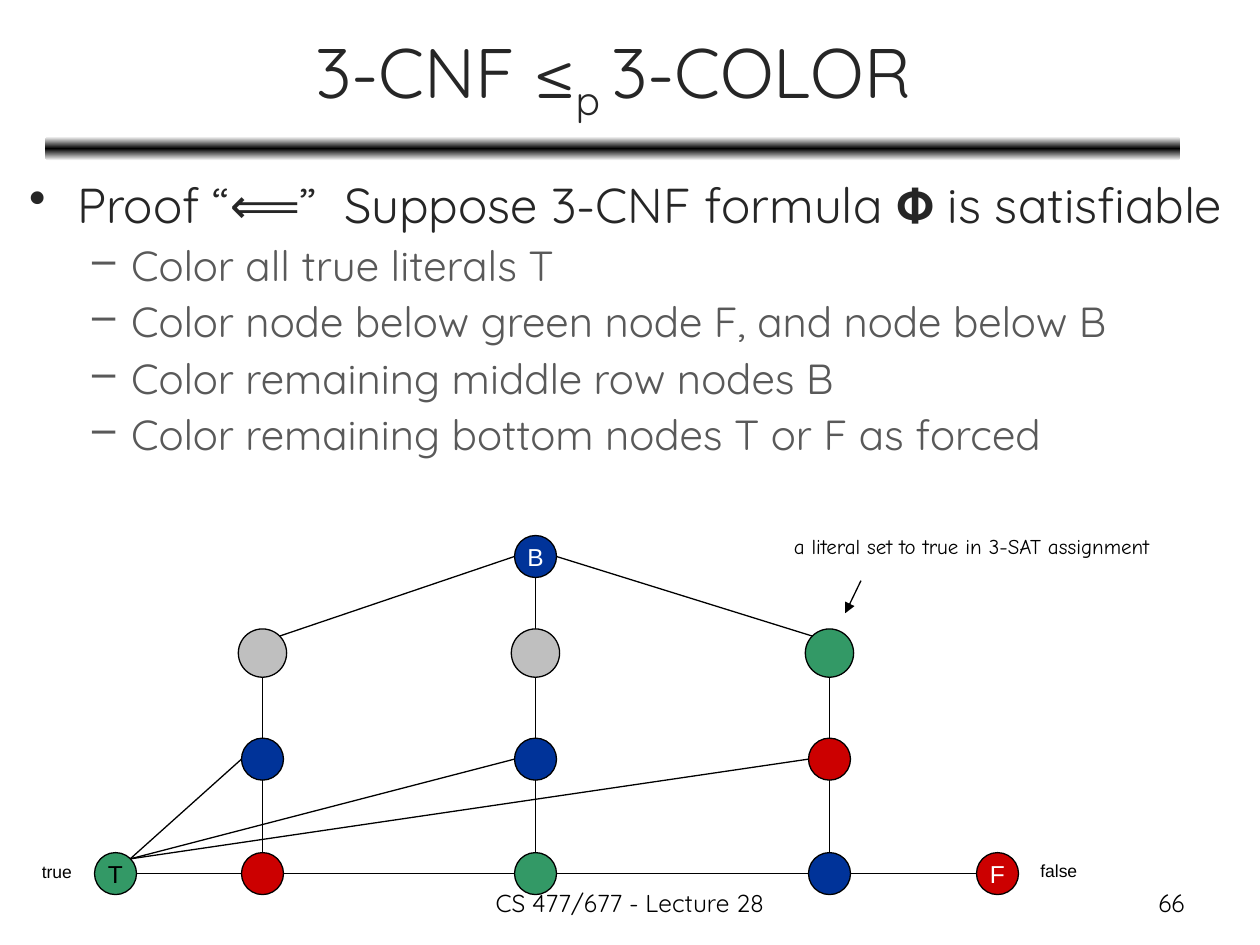
from copy import deepcopy
from pptx import Presentation
from pptx.dml.color import RGBColor
from pptx.enum.shapes import MSO_CONNECTOR, MSO_SHAPE
from pptx.enum.text import MSO_ANCHOR, PP_ALIGN
from pptx.oxml.ns import qn
from pptx.util import Inches, Pt
from lxml.etree import SubElement

COLORS = {name: RGBColor.from_string(value) for name, value in {
    "black": "000000", "white": "FFFFFF", "title": "262626", "detail": "595959",
    "green": "339966", "blue": "003399", "red": "CC0000", "gray": "BFBFBF",
}.items()}

deck = Presentation()
deck.slide_width, deck.slide_height = Inches(10), Inches(7.5)
page = deck.slides.add_slide(deck.slide_layouts[6])
cell = deck.slide_width / 120  # square grid: 120 columns by 90 rows


def add_text(area, spans, size, font, color, align=PP_ALIGN.LEFT, inset=True):
    box = page.shapes.add_textbox(*(round(value * cell) for value in area))
    frame = box.text_frame
    frame.word_wrap = True
    if not inset:
        frame.margin_left = frame.margin_right = frame.margin_top = frame.margin_bottom = 0
    para = frame.paragraphs[0]
    para.alignment = align
    for words in spans:
        span = para.add_run()
        span.text = words
        span.font.size, span.font.name = Pt(size), font
        span.font.color.rgb = COLORS[color]
    return frame


def add_line(start, end):
    line = page.shapes.add_connector(
        MSO_CONNECTOR.STRAIGHT, *(round(value * cell) for value in (*start, *end)))
    line.line.color.rgb, line.line.width = COLORS["black"], Pt(0.75)
    SubElement(line._element.spPr, qn("a:effectLst"))
    return line


# Gradient bar under the title
bar = page.shapes.add_shape(
    MSO_SHAPE.ROUNDED_RECTANGLE, *(round(value * cell) for value in (4.3, 13, 108.1, 2.3)))
bar.shadow.inherit = False
bar.line.fill.background()
bar.fill.gradient()
bar.fill.gradient_angle = 90
stop_list = bar._element.spPr.find(qn("a:gradFill")).find(qn("a:gsLst"))
stop_list.append(deepcopy(stop_list[0]))
for stop, position, color in zip(bar.fill.gradient_stops, (0, 0.5, 1), ("white", "black", "white")):
    stop.position, stop.color.rgb = position, COLORS[color]

# Title
title = add_text((4.4, 1.3, 108, 11.9), ["3-CNF ≤", "p ", "3-COLOR"], 40, "Quicksand",
                 "title", PP_ALIGN.CENTER)
title.vertical_anchor = MSO_ANCHOR.MIDDLE
title.paragraphs[0].runs[1].font._element.set("baseline", "-25000")

# Proof outline
outline = [
    (0, "Proof “⟸”\tSuppose 3-CNF formula 𝚽 is satisfiable"),
    (1, "Color all true literals T"),
    (1, "Color node below green node F, and node below B"),
    (1, "Color remaining middle row nodes B"),
    (1, "Color remaining bottom nodes T or F as forced"),
]
levels = [(0.38, -0.38, "•", 28, "title"), (0.81, -0.31, "–", 24, "detail")]
proof = add_text((1.6, 16, 123.4, 66.6), [], 28, "Quicksand", "title")
for index, (level, words) in enumerate(outline):
    margin, indent, bullet, size, color = levels[level]
    para = proof.add_paragraph() if index else proof.paragraphs[0]
    para.text, para.level = words, level
    if index:
        para.space_before = Pt(3.5)
    properties = para._p.get_or_add_pPr()
    properties.set("marL", str(Inches(margin)))
    properties.set("indent", str(Inches(indent)))
    SubElement(properties, qn("a:buChar"), char=bullet)
    if "\t" in words:
        tabs = SubElement(properties, qn("a:tabLst"))
        SubElement(tabs, qn("a:tab"), pos=str(Inches(2.5)), algn="l")
    for span in para.runs:
        span.font.size, span.font.name = Pt(size), "Quicksand"
        span.font.color.rgb = COLORS[color]

# Graph nodes: column, row, radius, fill, label, label color
top, literal, middle, bottom = 53, 62.2, 72.3, 83.2
nodes = {
    "B": (51, top, 2, "blue", "B", "white"),
    "T": (11, bottom, 2, "green", "T", "black"),
    "F": (95, bottom, 2, "red", "F", "white"),
}
clauses = [(25, "gray", "blue", "red"), (51, "gray", "blue", "green"),
           (79, "green", "red", "blue")]
for number, (column, *fills) in enumerate(clauses):
    for row, radius, fill in zip((literal, middle, bottom), (2.3, 2, 2), fills):
        nodes[number, row] = (column, row, radius, fill, "", "black")

# Graph edges: node and direction to its rim, at both ends
up, down, left, right = (0, -1), (0, 1), (-1, 0), (1, 0)
up_left, up_right = (-0.7, -0.7), (0.7, -0.7)
edges = [("B", side, (number, literal), rim) for number, (side, rim) in
         enumerate([(left, up_right), (down, up), (right, up_left)])]
for number in range(3):
    edges += [
        ((number, literal), down, (number, middle), up),
        ((number, middle), down, (number, bottom), up),
        ("T", up_right, (number, middle), left),
    ]
chain = ["T", *((number, bottom) for number in range(3)), "F"]
edges += [(first, right, second, left) for first, second in zip(chain, chain[1:])]
for first, leaving, second, entering in edges:
    add_line(*[(nodes[name][0] + dx * nodes[name][2], nodes[name][1] + dy * nodes[name][2])
               for name, (dx, dy) in ((first, leaving), (second, entering))])

for column, row, radius, fill, label, color in nodes.values():
    node = page.shapes.add_shape(MSO_SHAPE.OVAL, *(
        round(value * cell) for value in (column - radius, row - radius, 2 * radius, 2 * radius)))
    node.shadow.inherit = False
    node.fill.solid()
    node.fill.fore_color.rgb = COLORS[fill]
    node.line.color.rgb, node.line.width = COLORS["black"], Pt(0.75)
    if label:
        frame = node.text_frame
        frame.margin_left = frame.margin_right = frame.margin_top = frame.margin_bottom = 0
        frame.word_wrap = False
        frame.vertical_anchor = MSO_ANCHOR.MIDDLE
        para = frame.paragraphs[0]
        para.text, para.alignment = label, PP_ALIGN.CENTER
        span = para.runs[0]
        span.font.size, span.font.name = Pt(14), "Arial"
        span.font.color.rgb = COLORS[color]

# Note and its arrow
add_text((75.6, 50.8, 38.3, 2.8), ["a literal set to true in 3-SAT assignment"], 12,
         "Comic Neue", "black", inset=False)
arrow = add_line((82, 55.3), (80.5, 58.4))
SubElement(arrow.line._get_or_add_ln(), qn("a:tailEnd"), type="triangle")

# Truth labels, footer and page number
add_text((2.8, 81.4, 5.6, 3.6), ["true"], 10, "Arial", "black")
add_text((97.9, 81.3, 6.1, 3.6), ["false"], 10, "Arial", "black")
add_text((41, 84, 38, 4.2), ["CS 477/677 - Lecture 28"], 14, "Quicksand", "black", PP_ALIGN.CENTER)
add_text((86, 84, 28, 4.2), ["66"], 14, "Quicksand", "black", PP_ALIGN.RIGHT)

deck.save("out.pptx")
